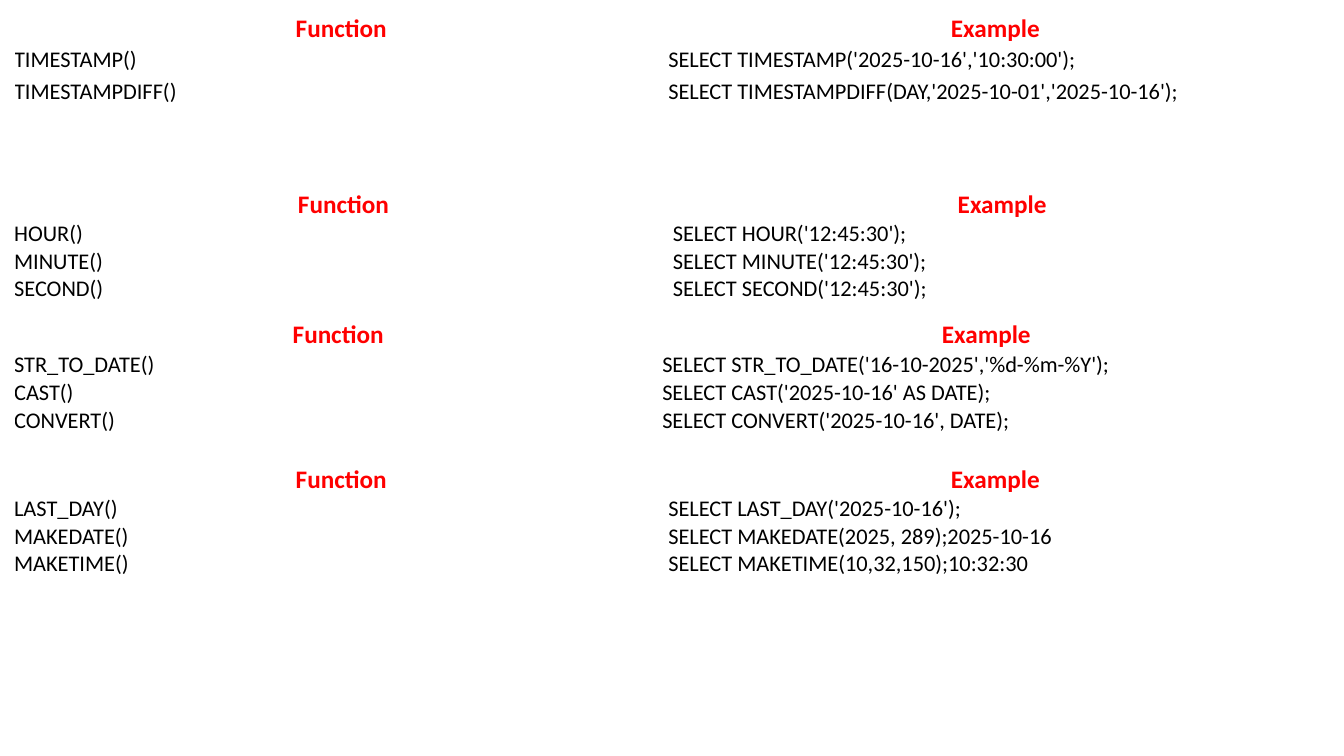
from pptx import Presentation
from pptx.dml.color import RGBColor
from pptx.enum.text import MSO_ANCHOR, PP_ALIGN
from pptx.util import Pt

RED = RGBColor(0xFF, 0x00, 0x00)
BLACK = RGBColor(0x00, 0x00, 0x00)
FONT = "Calibri"
CENTER = PP_ALIGN.CENTER
LEFT = PP_ALIGN.LEFT
MIDDLE = MSO_ANCHOR.MIDDLE

TABLE_LEFT = 10.08
HEADINGS = ("Function", "Example")

TIMESTAMP_ROWS = [
    ("TIMESTAMP()", "SELECT TIMESTAMP('2025-10-16','10:30:00');"),
    ("TIMESTAMPDIFF()", "SELECT TIMESTAMPDIFF(DAY,'2025-10-01','2025-10-16');"),
]
TIME_PART_ROWS = [
    ("HOUR()", "SELECT HOUR('12:45:30');"),
    ("MINUTE()", "SELECT MINUTE('12:45:30');"),
    ("SECOND()", "SELECT SECOND('12:45:30');"),
]
CONVERSION_ROWS = [
    ("STR_TO_DATE()", "SELECT STR_TO_DATE('16-10-2025','%d-%m-%Y');"),
    ("CAST()", "SELECT CAST('2025-10-16' AS DATE);"),
    ("CONVERT()", "SELECT CONVERT('2025-10-16', DATE);"),
]
CONSTRUCTION_ROWS = [
    ("LAST_DAY()", "SELECT LAST_DAY('2025-10-16');"),
    ("MAKEDATE()", "SELECT MAKEDATE(2025, 289);2025-10-16"),
    ("MAKETIME()", "SELECT MAKETIME(10,32,150);10:32:30"),
]


def write_text(para, text, size=16, color=BLACK, bold=False, align=LEFT):
    para.alignment = align
    span = para.add_run()
    span.text = text
    span.font.name = FONT
    span.font.size = Pt(size)
    span.font.bold = bold
    span.font.color.rgb = color


def fill_cell(cell, text, **text_format):
    cell.fill.background()
    cell.vertical_anchor = MIDDLE
    cell.margin_left = cell.margin_right = Pt(0)
    cell.margin_top = cell.margin_bottom = Pt(0)
    write_text(cell.text_frame.paragraphs[0], text, **text_format)


def add_function_table(page, rows, top, column_width, header_height, row_height):
    frame = page.shapes.add_table(
        len(rows) + 1, len(HEADINGS), Pt(TABLE_LEFT), Pt(top),
        Pt(column_width * len(HEADINGS)),
        Pt(header_height + row_height * len(rows)),
    )
    table = frame.table
    table.first_row = False
    table.horz_banding = False
    for column in table.columns:
        column.width = Pt(column_width)
    for index, row in enumerate(table.rows):
        row.height = Pt(row_height if index else header_height)
    for column, heading in enumerate(HEADINGS):
        fill_cell(table.cell(0, column), heading,
                  size=18, color=RED, bold=True, align=CENTER)
    for index, texts in enumerate(rows, start=1):
        for column, text in enumerate(texts):
            fill_cell(table.cell(index, column), text)


def main():
    deck = Presentation()
    deck.slide_width = Pt(960)
    deck.slide_height = Pt(540)
    page = deck.slides.add_slide(deck.slide_layouts[6])
    add_function_table(page, CONVERSION_ROWS, 228.24, 462.96, 20.16, 20.16)
    add_function_table(page, CONSTRUCTION_ROWS, 331.92, 467.28, 21.6, 19.44)
    add_function_table(page, TIME_PART_ROWS, 135.36, 470.52, 18.54, 18.54)
    add_function_table(page, TIMESTAMP_ROWS, 9.36, 467.28, 22.5, 22.5)
    deck.save("out.pptx")


if __name__ == "__main__":
    main()
